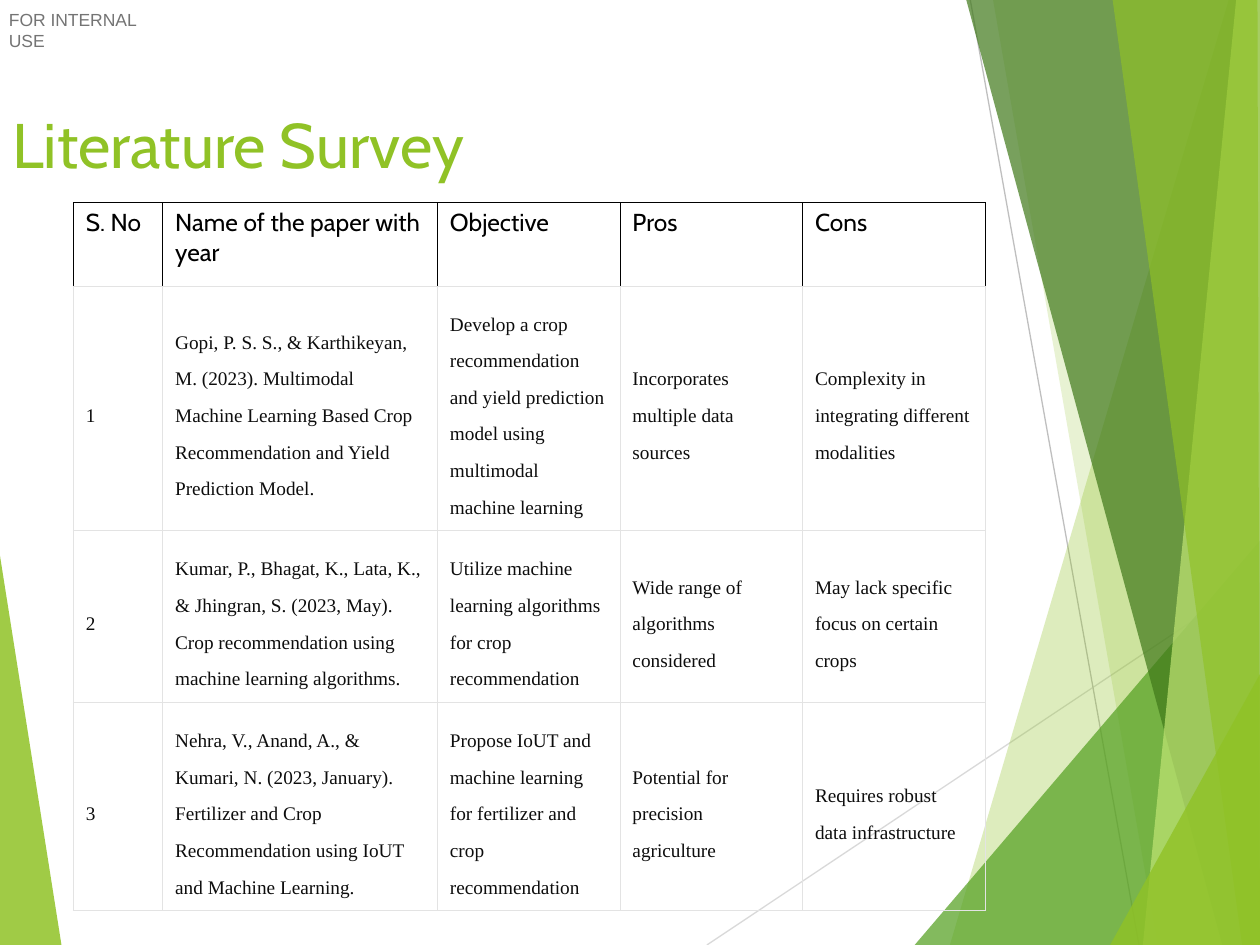
"""Build the literature survey slide with its faceted green backdrop and table."""
from dataclasses import dataclass

from lxml.etree import SubElement
from pptx import Presentation
from pptx.dml.color import RGBColor
from pptx.enum.text import MSO_ANCHOR, MSO_AUTO_SIZE, PP_ALIGN
from pptx.oxml import parse_xml
from pptx.oxml.ns import nsdecls, qn
from pptx.util import Cm, Pt


@dataclass(frozen=True)
class Theme:
    lime: str = "90C226"
    leaf: str = "54A021"
    forest: str = "3F7819"
    pale: str = "C0E474"
    black: str = "000000"
    ink: str = "0D0D0D"
    label: str = "747474"
    grid: str = "E3E3E3"
    heading_font: str = "Cabin"
    body_font: str = "Times New Roman"
    label_font: str = "Arial"
    title_size: float = 36
    header_size: float = 14
    body_size: float = 11
    label_size: float = 10
    line_width: float = 0.75


THEME = Theme()
WIDTH, HEIGHT = 25.4, 19.05
TITLE = "Literature Survey"
LABEL = "FOR INTERNAL USE"

HEADERS = ["S. No", "Name of the paper with year", "Objective", "Pros", "Cons"]
PAPERS = [
    ("1",
     "Gopi, P. S. S., & Karthikeyan, M. (2023). Multimodal Machine Learning Based "
     "Crop Recommendation and Yield Prediction Model.",
     "Develop a crop recommendation and yield prediction model using multimodal machine learning",
     "Incorporates multiple data sources",
     "Complexity in integrating different modalities"),
    ("2",
     "Kumar, P., Bhagat, K., Lata, K., & Jhingran, S. (2023, May). "
     "Crop recommendation using machine learning algorithms.",
     "Utilize machine learning algorithms for crop recommendation",
     "Wide range of algorithms considered",
     "May lack specific focus on certain crops"),
    ("3",
     "Nehra, V., Anand, A., & Kumari, N. (2023, January). Fertilizer and Crop "
     "Recommendation using IoUT and Machine Learning.",
     "Propose IoUT and machine learning for fertilizer and crop recommendation",
     "Potential for precision agriculture",
     "Requires robust data infrastructure"),
]
COLUMN_WIDTHS = [1.8, 5.54, 3.68, 3.68, 3.68]
ROW_HEIGHTS = [1.68, 4.92, 3.47, 4.19]

LEFT_FACET = ([(0, 11.2), (1.24, HEIGHT), (0, HEIGHT)], THEME.lime, 85)
RAYS = [
    ((14.25, HEIGHT), (WIDTH, 11.61), "D9D9D9"),
    ((19.56, 0), (22.96, HEIGHT), "BFBFBF"),
]
RIGHT_FACETS = [
    ([(24.77, 0), (19.15, HEIGHT), (WIDTH, HEIGHT), (WIDTH, 0)], THEME.lime, 30),
    ([(20.02, 0), (23.34, HEIGHT), (WIDTH, HEIGHT), (WIDTH, 0)], THEME.lime, 20),
    ([(18.44, HEIGHT), (WIDTH, 10.9), (WIDTH, HEIGHT)], THEME.leaf, 72),
    ([(19.48, 0), (24.64, HEIGHT), (WIDTH, HEIGHT), (WIDTH, 0)], THEME.forest, 70),
    ([(24.92, 0), (23.04, HEIGHT), (WIDTH, HEIGHT), (WIDTH, 0)], THEME.pale, 70),
    ([(22.43, 0), (25.04, HEIGHT), (WIDTH, HEIGHT), (25.35, 0)], THEME.lime, 65),
    ([(22.38, HEIGHT), (WIDTH, 13.59), (WIDTH, HEIGHT)], THEME.lime, 80),
]


def add_facet(slide, points, color, opacity):
    """Draw one translucent polygon."""
    corners = [(Cm(x), Cm(y)) for x, y in points]
    builder = slide.shapes.build_freeform(*corners[0], scale=1.0)
    builder.add_line_segments(corners[1:], close=True)
    shape = builder.convert_to_shape()
    shape.shadow.inherit = False
    shape.line.fill.background()
    shape.fill.solid()
    shape.fill.fore_color.rgb = RGBColor.from_string(color)
    color_element = shape._element.spPr.find(qn("a:solidFill"))[0]
    SubElement(color_element, qn("a:alpha"), val=str(opacity * 1000))


def add_ray(slide, start, end, color):
    """Draw one thin straight line."""
    connector = slide.shapes.add_connector(1, *map(Cm, start + end))
    connector.line.color.rgb = RGBColor.from_string(color)
    connector.line.width = Pt(THEME.line_width)
    SubElement(connector._element.spPr, qn("a:effectLst"))


def write(paragraph, text, font, size, color):
    """Add one formatted run."""
    run = paragraph.add_run()
    run.text = text
    run.font.name = font
    run.font.size = Pt(size)
    run.font.bold = False
    run.font.color.rgb = RGBColor.from_string(color)


def set_margins(target, horizontal, vertical):
    """Set equal margins on opposite sides."""
    target.margin_left = target.margin_right = Cm(horizontal)
    target.margin_top = target.margin_bottom = Cm(vertical)


def set_borders(cell, colors):
    """Colour the left, right, top and bottom borders."""
    properties = cell._tc.get_or_add_tcPr()
    for position, (side, color) in enumerate(zip("LRTB", colors)):
        properties.insert(position, parse_xml(
            f'<a:ln{side} {nsdecls("a")} w="{Pt(THEME.line_width)}"><a:solidFill>'
            f'<a:srgbClr val="{color}"/></a:solidFill></a:ln{side}>'))


def add_label(slide):
    """Add the classification label."""
    frame = slide.shapes.add_textbox(Cm(0.18), Cm(0.18), Cm(3.1), Cm(0.43)).text_frame
    frame.word_wrap = True
    set_margins(frame, 0, 0)
    write(frame.paragraphs[0], LABEL, THEME.label_font, THEME.label_size, THEME.label)


def format_title(slide):
    """Place the title above the backdrop."""
    title = slide.shapes.title
    slide.shapes._spTree.append(title._element)
    title.left, title.top, title.width, title.height = Cm(0), Cm(1.7), Cm(22.86), Cm(2.39)
    frame = title.text_frame
    frame.auto_size = MSO_AUTO_SIZE.NONE
    frame.vertical_anchor = MSO_ANCHOR.MIDDLE
    set_margins(frame, 0.25, 0.13)
    paragraph = frame.paragraphs[0]
    paragraph.alignment = PP_ALIGN.LEFT
    write(paragraph, TITLE, THEME.heading_font, THEME.title_size, THEME.lime)


def add_survey_table(slide):
    """Add the table of papers."""
    rows = [HEADERS, *PAPERS]
    table = slide.shapes.add_table(
        len(rows), len(HEADERS), Cm(1.48), Cm(4.09),
        Cm(sum(COLUMN_WIDTHS)), Cm(sum(ROW_HEIGHTS))).table
    table.first_row = table.horz_banding = False
    for column, width in zip(table.columns, COLUMN_WIDTHS):
        column.width = Cm(width)
    for row_index, (texts, height) in enumerate(zip(rows, ROW_HEIGHTS)):
        table.rows[row_index].height = Cm(height)
        for column_index, text in enumerate(texts):
            cell = table.cell(row_index, column_index)
            paragraph = cell.text_frame.paragraphs[0]
            cell.fill.background()
            if row_index == 0:
                set_margins(cell, 0.25, 0.1)
                set_borders(cell, [THEME.black] * 3 + [THEME.grid])
                write(paragraph, text, THEME.heading_font, THEME.header_size, THEME.black)
            else:
                set_margins(cell, 0.25, 0.25)
                set_borders(cell, [THEME.grid] * 4)
                cell.vertical_anchor = MSO_ANCHOR.MIDDLE
                paragraph.line_spacing = 1.71
                write(paragraph, text, THEME.body_font, THEME.body_size, THEME.ink)


def main():
    """Assemble and save the slide."""
    presentation = Presentation()
    presentation.slide_width, presentation.slide_height = Cm(WIDTH), Cm(HEIGHT)
    slide = presentation.slides.add_slide(presentation.slide_layouts[5])
    add_facet(slide, *LEFT_FACET)
    for ray in RAYS:
        add_ray(slide, *ray)
    for facet in RIGHT_FACETS:
        add_facet(slide, *facet)
    add_label(slide)
    format_title(slide)
    add_survey_table(slide)
    presentation.save("out.pptx")


if __name__ == "__main__":
    main()
